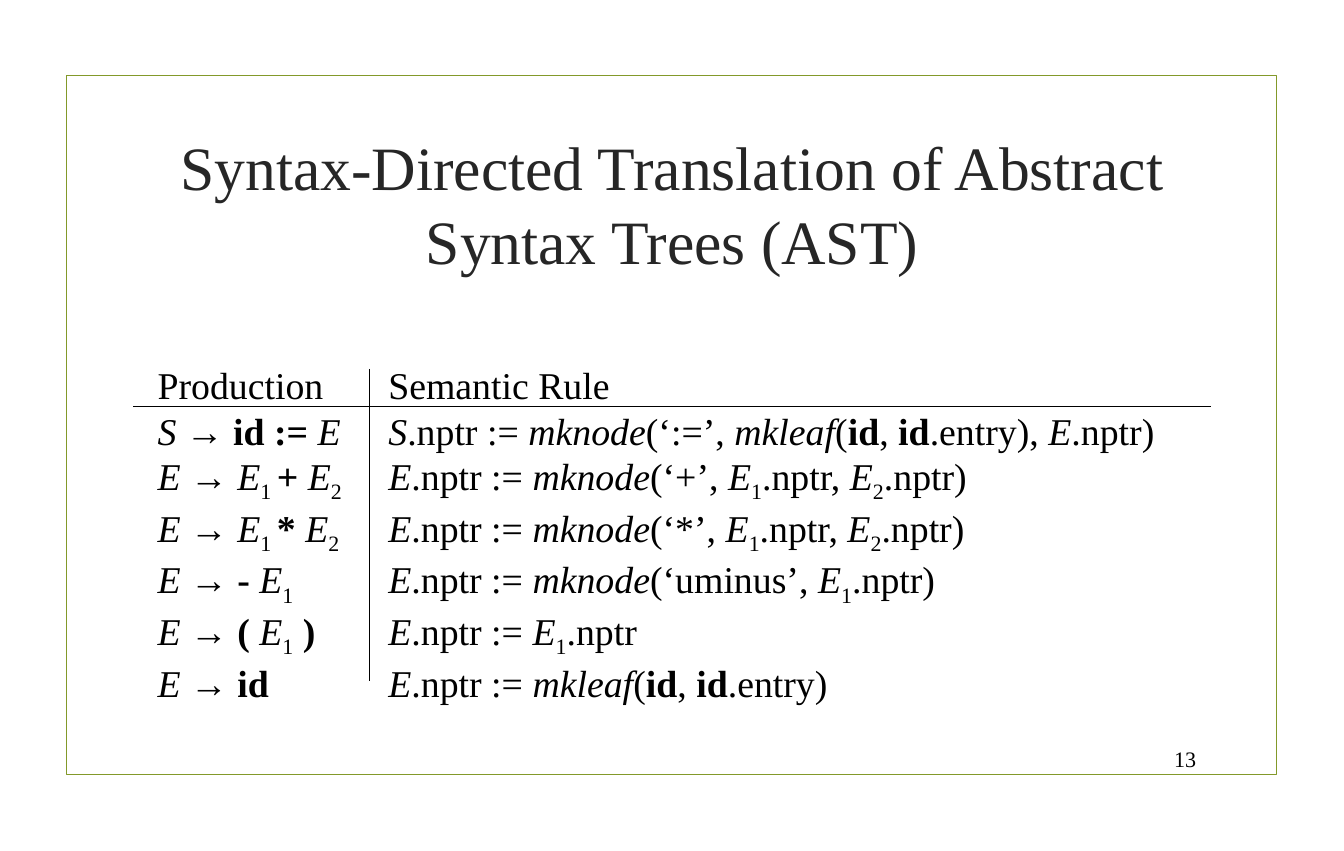
from dataclasses import dataclass

from lxml.etree import SubElement
from pptx import Presentation
from pptx.dml.color import RGBColor
from pptx.enum.shapes import MSO_CONNECTOR, MSO_SHAPE
from pptx.enum.text import MSO_ANCHOR, MSO_AUTO_SIZE, PP_ALIGN
from pptx.oxml.ns import qn
from pptx.slide import Slide
from pptx.text.text import Font
from pptx.util import Emu, Pt

PX = 9144  # 100 px to the inch
FONT = "Times New Roman"
BLACK = RGBColor(0x00, 0x00, 0x00)
CHARCOAL = RGBColor(0x26, 0x26, 0x26)
OLIVE = RGBColor(0x83, 0x99, 0x2A)
WHITE = RGBColor(0xFF, 0xFF, 0xFF)

# Marks that switch a style on and off within a column's text
ITALIC, BOLD, SUBSCRIPT = "_", "#", "~"


@dataclass(frozen=True)
class Area:
    left: int
    top: int
    width: int
    height: int

    def emu(self) -> tuple[Emu, ...]:
        return tuple(px(n) for n in (self.left, self.top, self.width, self.height))


@dataclass(frozen=True)
class Column:
    area: Area
    paragraphs: tuple[str, ...]


@dataclass(frozen=True)
class Rule:
    start: tuple[int, int]
    end: tuple[int, int]


PRODUCTIONS = Column(Area(268, 633, 361, 576), (
    "Production\n"
    "_S _→ #id := #_E_\n"
    "_E _→ _E_~1 ~#+ #_E_~2~\n"
    "_E _→ _E_~1 ~#* #_E_~2~\n"
    "_E _→ #- #_E_~1~\n"
    "_E _→ #( #_E_~1~# )#",
    "_E _→ #id#",
))
SEMANTIC_RULES = Column(Area(675, 633, 1385, 576), (
    "Semantic Rule\n"
    "_S_.nptr := _mknode_(‘:=’, _mkleaf_(#id#, #id#.entry), _E_.nptr)\n"
    "_E_.nptr := _mknode_(‘+’, _E_~1~.nptr, _E_~2~.nptr)\n"
    "_E_.nptr := _mknode_(‘*’, _E_~1~.nptr, _E_~2~.nptr)\n"
    "_E_.nptr := _mknode_(‘uminus’, _E_~1~.nptr)\n"
    "_E_.nptr := _E_~1~.nptr",
    "_E_.nptr := _mkleaf_(#id#, #id#.entry)",
))
RULES = (
    Rule((235, 717), (2135, 717)),  # under the headings
    Rule((652, 650), (652, 1200)),  # between the columns
)


def px(length: int) -> Emu:
    return Emu(length * PX)


def set_font(font: Font, size: float, color: RGBColor) -> None:
    font.name = FONT
    font.size = Pt(size)
    font.color.rgb = color


def split_spans(line: str) -> list[tuple[str, frozenset[str]]]:
    """Cut a marked line into pieces of text with their styles."""
    spans, text, styles = [], "", frozenset()
    for character in line:
        if character in (ITALIC, BOLD, SUBSCRIPT):
            if text:
                spans.append((text, styles))
            text, styles = "", styles ^ {character}
        else:
            text += character
    return spans + [(text, styles)] if text else spans


def add_column(page: Slide, column: Column) -> None:
    box = page.shapes.add_textbox(*column.area.emu())
    frame = box.text_frame
    frame.word_wrap = False
    frame.auto_size = MSO_AUTO_SIZE.SHAPE_TO_FIT_TEXT
    for index, content in enumerate(column.paragraphs):
        para = frame.add_paragraph() if index else frame.paragraphs[0]
        set_font(para.font, 48, BLACK)
        for row, line in enumerate(content.split("\n")):
            if row:
                para.add_line_break()
            for text, styles in split_spans(line):
                span = para.add_run()
                span.text = text
                if ITALIC in styles:
                    span.font.italic = True
                if BOLD in styles:
                    span.font.bold = True
                if SUBSCRIPT in styles:
                    span.font._element.set("baseline", "-25000")


def add_rule(page: Slide, rule: Rule) -> None:
    ends = [px(n) for n in rule.start + rule.end]
    line = page.shapes.add_connector(MSO_CONNECTOR.STRAIGHT, *ends)
    line.line.color.rgb = BLACK
    line.line.width = Pt(0.75)
    SubElement(line._element.spPr, qn("a:effectLst"))


def add_frame(page: Slide, area: Area) -> None:
    border = page.shapes.add_shape(MSO_SHAPE.RECTANGLE, *area.emu())
    border.shadow.inherit = False
    border.fill.background()
    border.line.color.rgb = OLIVE
    border.line.width = Pt(1.25)


def add_page_number(page: Slide, area: Area, number: str) -> None:
    box = page.shapes.add_textbox(*area.emu())
    frame = box.text_frame
    frame.word_wrap = True
    frame.vertical_anchor = MSO_ANCHOR.MIDDLE
    para = frame.paragraphs[0]
    para.text = number
    para.alignment = PP_ALIGN.RIGHT
    set_font(para.font, 28, BLACK)


def set_title(page: Slide, area: Area, text: str) -> None:
    title = page.shapes.title
    title.left, title.top, title.width, title.height = area.emu()
    frame = title.text_frame
    frame.word_wrap = True
    frame.auto_size = MSO_AUTO_SIZE.NONE
    frame.vertical_anchor = MSO_ANCHOR.MIDDLE
    para = frame.paragraphs[0]
    para.text = text
    para.alignment = PP_ALIGN.CENTER
    set_font(para.font, 78.2, CHARCOAL)


def main() -> None:
    deck = Presentation()
    deck.slide_width, deck.slide_height = px(2370), px(1500)
    page = deck.slides.add_slide(deck.slide_layouts[5])
    page.background.fill.solid()
    page.background.fill.fore_color.rgb = WHITE

    # Border, page number and title
    add_frame(page, Area(118, 133, 2133, 1233))
    add_page_number(page, Area(2013, 1306, 106, 61), "13")
    set_title(page, Area(252, 215, 1867, 285),
              "Syntax-Directed Translation of Abstract Syntax Trees (AST)")

    # Grammar columns with their dividing lines
    for column in (PRODUCTIONS, SEMANTIC_RULES):
        add_column(page, column)
    for rule in RULES:
        add_rule(page, rule)

    deck.save("out.pptx")


if __name__ == "__main__":
    main()
